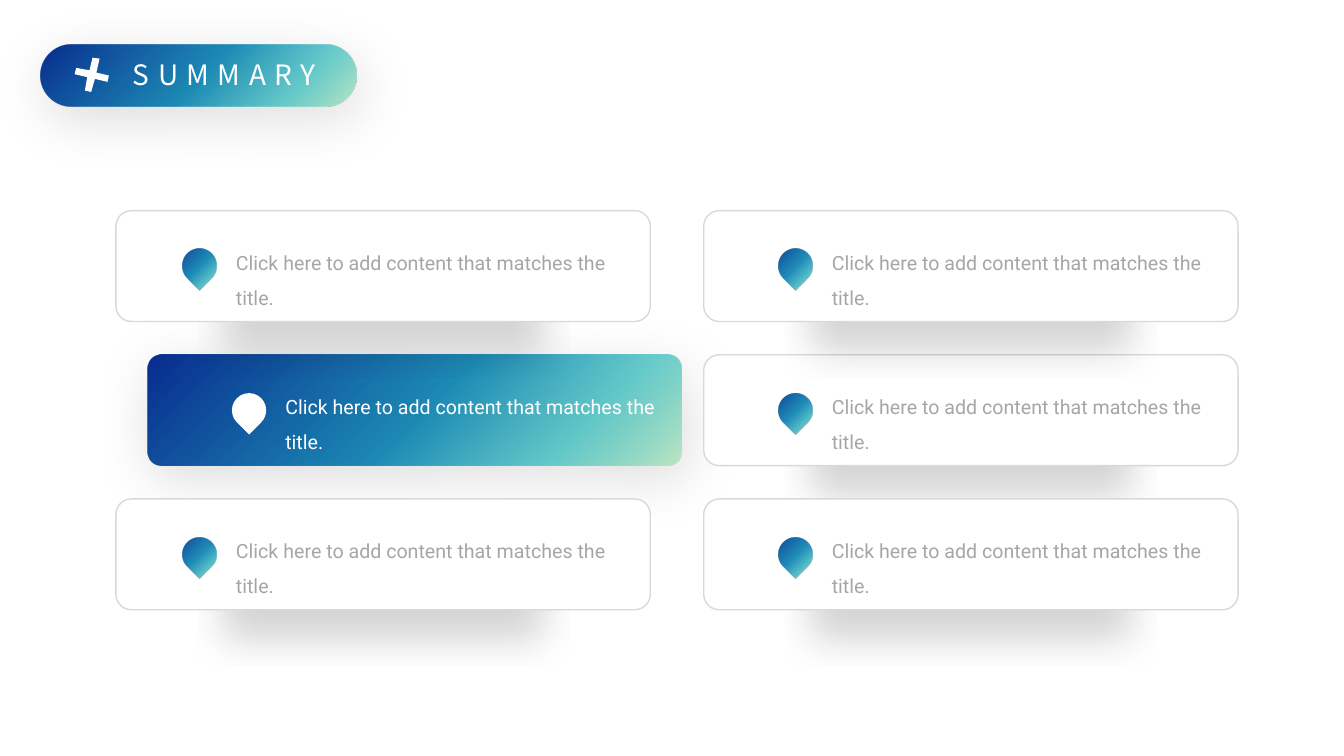
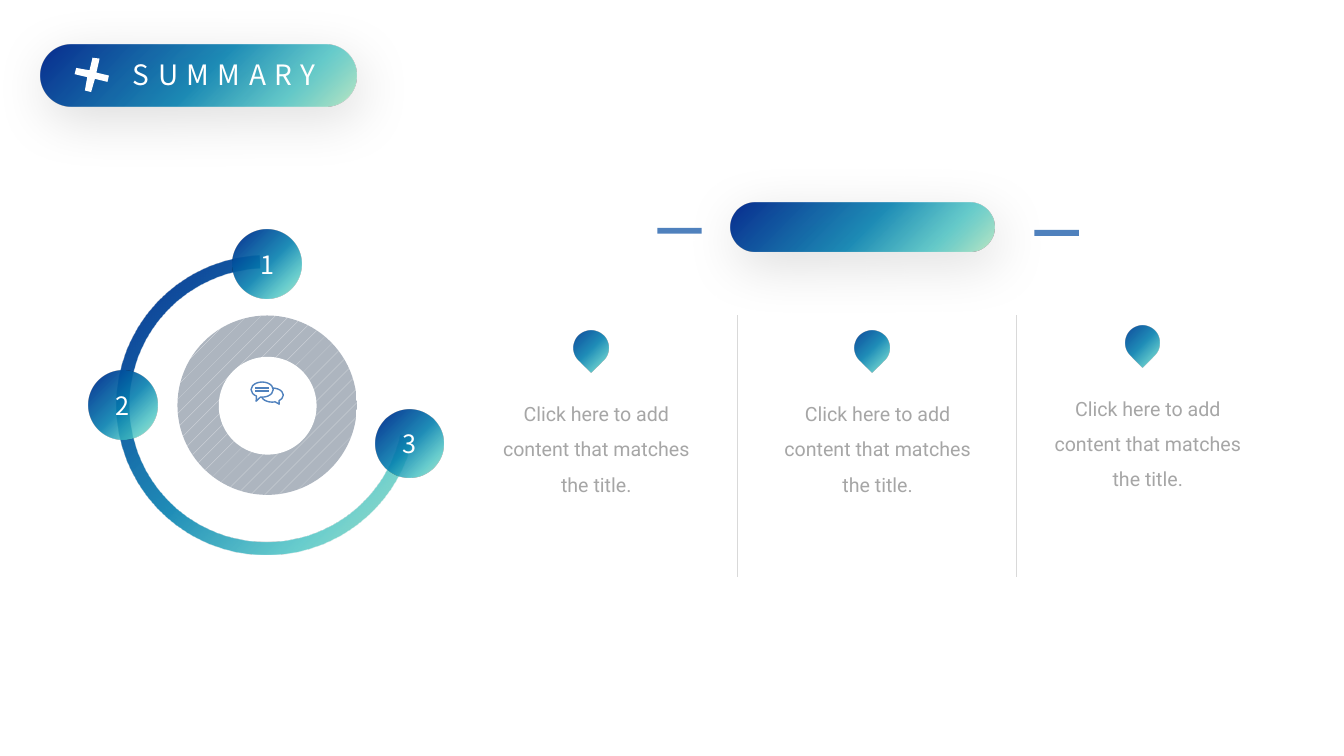
from dataclasses import dataclass

from lxml import etree
from pptx import Presentation
from pptx.dml.color import RGBColor
from pptx.enum.dml import MSO_PATTERN
from pptx.enum.shapes import MSO_CONNECTOR, MSO_SHAPE
from pptx.enum.text import MSO_ANCHOR, MSO_AUTO_SIZE, PP_ALIGN
from pptx.oxml import parse_xml
from pptx.oxml.ns import nsdecls, qn
from pptx.util import Inches, Pt

OVAL, RECT = MSO_SHAPE.OVAL, MSO_SHAPE.RECTANGLE
ROUNDED, TEARDROP = MSO_SHAPE.ROUNDED_RECTANGLE, MSO_SHAPE.TEAR
BLOCK_ARC, BUBBLE = MSO_SHAPE.BLOCK_ARC, MSO_SHAPE.OVAL_CALLOUT
STRAIGHT = MSO_CONNECTOR.STRAIGHT
LEFT, CENTER, MIDDLE = PP_ALIGN.LEFT, PP_ALIGN.CENTER, MSO_ANCHOR.MIDDLE
DOTS = MSO_PATTERN.PERCENT_5

WHITE, GREY_TEXT, GREY_LINE, BLUE = "FFFFFF", "A6A6A6", "D9D9D9", "4F81BD"
RING, RING_MARKS = "ADB5BF", "E4E6EA"
GRADIENT = "gradient"
# Position %, colour, opacity %
STOPS = ((0, "00248B", 96), (52, "0681B0", 89), (79, "45C2C2", 80), (100, "BDE8C2", 96))
TITLE_FONT, BODY_FONT = "Noto Sans CJK SC", "Roboto"
BODY = "Click here to add content that matches the title."
PIN_SIZE = 0.34


@dataclass(frozen=True)
class Shadow:
    opacity: int
    blur: float
    distance: float
    angle: int
    scale: int
    align: str


SOFT = Shadow(15, 40, 10, 70, 100, "ctr")
DROPPED = Shadow(17, 29, 53, 90, 60, "t")


@dataclass(frozen=True)
class Card:
    left: float
    top: float
    text_indent: float
    highlighted: bool = False


@dataclass(frozen=True)
class Column:
    text_left: float
    text_top: float


@dataclass(frozen=True)
class Step:
    label: str
    left: float
    top: float


@dataclass(frozen=True)
class Speech:
    left: float
    top: float
    width: float
    height: float
    tail_x: float
    tail_y: float


ROWS = [2.09 + 1.43 * row for row in range(3)]
LEFT_COLUMN, RIGHT_COLUMN = 1.15, 6.98
CARDS = (
    Card(1.46, ROWS[1], 1.37, highlighted=True),
    Card(LEFT_COLUMN, ROWS[2], 1.19),
    Card(LEFT_COLUMN, ROWS[0], 1.19),
    Card(RIGHT_COLUMN, ROWS[1], 1.27),
    Card(RIGHT_COLUMN, ROWS[2], 1.27),
    Card(RIGHT_COLUMN, ROWS[0], 1.27),
)
COLUMNS = (Column(4.85, 3.87), Column(7.64, 3.87), Column(10.32, 3.82))
STEPS = (Step("3", 3.72, 4.06), Step("2", 0.88, 3.68), Step("1", 2.31, 2.28))
SPEECHES = (
    Speech(2.59, 3.85, 0.22, 0.14, 2.77, 4.01),
    Speech(2.49, 3.79, 0.22, 0.15, 2.54, 3.98),
)
CROSS = (
    (0.8, 0.87), (0.76, 0.82), (0.86, 0.73), (0.78, 0.63), (0.83, 0.59), (0.92, 0.69),
    (1.02, 0.61), (1.07, 0.66), (0.96, 0.75), (1.04, 0.85), (0.99, 0.89), (0.91, 0.79),
)


def rgb(value: str) -> RGBColor:
    return RGBColor.from_string(value)


def fill_gradient(shape) -> None:
    """Radial fill spreading from the top left corner."""
    stops = "".join(
        f'<a:gs pos="{pos * 1000}"><a:srgbClr val="{color}">'
        f'<a:alpha val="{opacity * 1000}"/></a:srgbClr></a:gs>'
        for pos, color, opacity in STOPS
    )
    gradient = parse_xml(
        f'<a:gradFill {nsdecls("a")} rotWithShape="0"><a:gsLst>{stops}</a:gsLst>'
        '<a:path path="circle"><a:fillToRect r="100000" b="100000"/></a:path></a:gradFill>'
    )
    shape.fill.background()
    properties = shape.element.spPr
    properties.replace(properties.find(qn("a:noFill")), gradient)


def add_shadow(shape, shadow: Shadow) -> None:
    scale = shadow.scale * 1000
    shape.element.spPr.find(qn("a:effectLst")).append(parse_xml(
        f'<a:outerShdw {nsdecls("a")} blurRad="{Pt(shadow.blur)}" dist="{Pt(shadow.distance)}" '
        f'dir="{shadow.angle * 60000}" sx="{scale}" sy="{scale}" algn="{shadow.align}" '
        f'rotWithShape="0"><a:srgbClr val="000000"><a:alpha val="{shadow.opacity * 1000}"/>'
        '</a:srgbClr></a:outerShdw>'
    ))


def paint(shape, fill: str, line: str | None = None, weight: float = 1) -> None:
    shape.shadow.inherit = False
    if fill == GRADIENT:
        fill_gradient(shape)
    else:
        shape.fill.solid()
        shape.fill.fore_color.rgb = rgb(fill)
    if line:
        shape.line.color.rgb = rgb(line)
        shape.line.width = Pt(weight)
    else:
        shape.line.fill.background()


def add_box(slide, kind, left: float, top: float, width: float, height: float,
            fill: str, line: str | None = None, weight: float = 1):
    shape = slide.shapes.add_shape(
        kind, Inches(left), Inches(top), Inches(width), Inches(height))
    paint(shape, fill, line, weight)
    return shape


def add_rounded(slide, left: float, top: float, width: float, height: float, corner: float,
                shadow: Shadow, fill: str = GRADIENT, line: str | None = None):
    shape = add_box(slide, ROUNDED, left, top, width, height, fill, line)
    shape.adjustments[0] = corner
    add_shadow(shape, shadow)
    return shape


def add_rule(slide, x1: float, y1: float, x2: float, y2: float,
             color: str, weight: float) -> None:
    rule = slide.shapes.add_connector(
        STRAIGHT, Inches(x1), Inches(y1), Inches(x2), Inches(y2))
    rule.line.color.rgb = rgb(color)
    rule.line.width = Pt(weight)
    etree.SubElement(rule.element.spPr, qn("a:effectLst"))


def write(frame, text: str, font: str, size: float, color: str, align=CENTER) -> None:
    frame.margin_left = frame.margin_right = frame.margin_top = frame.margin_bottom = 0
    frame.auto_size = MSO_AUTO_SIZE.NONE
    paragraph = frame.paragraphs[0]
    paragraph.text = text
    paragraph.alignment = align
    paragraph.font.name = font
    paragraph.font.size = Pt(size)
    paragraph.font.color.rgb = rgb(color)


def add_body(slide, left: float, top: float, width: float, height: float,
             color: str, align) -> None:
    box = slide.shapes.add_textbox(Inches(left), Inches(top), Inches(width), Inches(height))
    box.text_frame.word_wrap = True
    write(box.text_frame, BODY, BODY_FONT, 14, color, align)
    box.text_frame.paragraphs[0].line_spacing = 1.5


def add_pin(slide, left: float, top: float, fill: str = GRADIENT) -> None:
    pin = add_box(slide, TEARDROP, left, top, PIN_SIZE, PIN_SIZE, fill)
    pin.rotation = 135


def add_header(slide) -> None:
    """Pill, title and cross shared by the slides."""
    pill = add_rounded(slide, 0.4, 0.44, 3.14, 0.62, 0.5, SOFT)
    title = slide.shapes.title
    title.left, title.top, title.width, title.height = map(Inches, (1.2, 0.57, 2.05, 0.34))
    frame = title.text_frame
    write(frame, "SUMMARY", TITLE_FONT, 20, WHITE)
    frame.word_wrap = False
    frame.vertical_anchor = MIDDLE
    frame.paragraphs[0].runs[0].font._element.set("spc", "600")
    pill.element.addnext(title.element)

    points = [(Inches(x), Inches(y)) for x, y in CROSS]
    outline = slide.shapes.build_freeform(*points[0])
    outline.add_line_segments(points[1:], close=True)
    cross = outline.convert_to_shape()
    paint(cross, WHITE)
    cross.rotation = 322.1


def build_cards(slide) -> None:
    for card in CARDS:
        if card.highlighted:
            add_rounded(slide, card.left, card.top, 5.3, 1.1, 0.13, SOFT)
        else:
            add_rounded(slide, card.left, card.top, 5.3, 1.1, 0.14, DROPPED, WHITE, GREY_LINE)
    add_header(slide)
    for card in CARDS:
        text_left, text_top = card.left + card.text_indent, card.top + 0.28
        text_color, pin_fill = (WHITE, WHITE) if card.highlighted else (GREY_TEXT, GRADIENT)
        add_body(slide, text_left, text_top, 3.94, 0.67, text_color, LEFT)
        add_pin(slide, text_left - 0.53, text_top + 0.1, pin_fill)


def build_cycle(slide) -> None:
    # Ring with its hollow centre
    ring = add_box(slide, OVAL, 1.76, 3.13, 1.78, 1.78, RING)
    ring.fill.patterned()
    ring.fill.pattern = DOTS
    ring.fill.fore_color.rgb = rgb(RING_MARKS)
    ring.fill.back_color.rgb = rgb(RING)
    add_box(slide, OVAL, 2.17, 3.54, 0.97, 0.97, WHITE)

    # Arc and numbered steps
    diameter, thickness = 2.97, 0.13
    arc = add_box(slide, BLOCK_ARC, 1.16, 2.53, diameter, diameter, GRADIENT)
    arc.rotation = 270
    for index, value in enumerate((61.49, 214.43, thickness / diameter)):
        arc.adjustments[index] = value
    for step in STEPS:
        ball = add_box(slide, OVAL, step.left, step.top, 0.68, 0.68, GRADIENT)
        write(ball.text_frame, step.label, TITLE_FONT, 18, WHITE)
        ball.text_frame.vertical_anchor = MIDDLE

    # Speech bubbles in the centre
    for speech in SPEECHES:
        bubble = add_box(slide, BUBBLE, speech.left, speech.top, speech.width, speech.height,
                         WHITE, BLUE)
        bubble.adjustments[0] = (speech.tail_x - speech.left) / speech.width - 0.5
        bubble.adjustments[1] = (speech.tail_y - speech.top) / speech.height - 0.5
    for y in (3.85, 3.88):
        add_rule(slide, 2.53, y, 2.67, y, BLUE, 1)

    # Column dividers
    for x in (7.31, 10.08):
        add_rule(slide, x, 3.13, x, 5.72, GREY_LINE, 0.25)
    add_header(slide)

    # Banner between two dashes
    add_rounded(slide, 7.25, 2.01, 2.61, 0.49, 0.5, SOFT)
    for left, top in ((6.52, 2.26), (10.26, 2.28)):
        add_box(slide, RECT, left, top, 0.44, 0.06, BLUE)

    # Text columns
    for column in COLUMNS:
        add_body(slide, column.text_left, column.text_top, 2.13, 1.02, GREY_TEXT, CENTER)
        add_pin(slide, column.text_left + 0.84, column.text_top - 0.59)


def main() -> None:
    deck = Presentation()
    deck.slide_width, deck.slide_height = Inches(13.33), Inches(7.5)
    title_only = deck.slide_layouts[5]
    for build in (build_cards, build_cycle):
        build(deck.slides.add_slide(title_only))
    deck.save("out.pptx")


if __name__ == "__main__":
    main()
